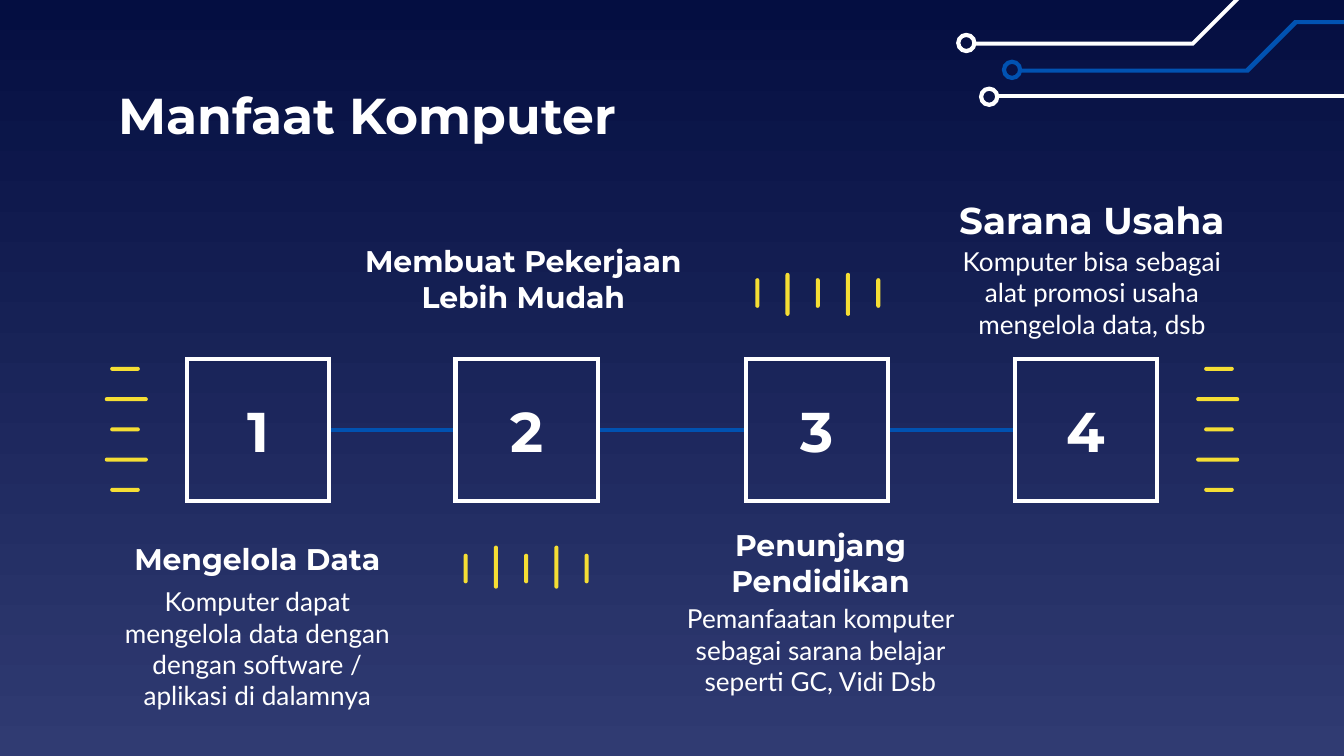
from lxml.etree import SubElement
from pptx import Presentation
from pptx.dml.color import RGBColor
from pptx.enum.shapes import MSO_CONNECTOR, MSO_SHAPE
from pptx.enum.text import MSO_ANCHOR, MSO_AUTO_SIZE, PP_ALIGN
from pptx.oxml.ns import qn
from pptx.util import Inches, Pt

COLORS = {
    "night": "040E41",
    "indigo": "303B72",
    "white": "FFFFFF",
    "blue": "0152B1",
    "yellow": "F5DE34",
}
HEADING_FONT, BODY_FONT = "Montserrat", "Lato"
SLIDE_WIDTH = 10
SLIDE_HEIGHT = SLIDE_WIDTH * 9 / 16
STEP_SIZE, STEP_TOP = 1.06, 2.67
TICK_COUNT, TICK_SPAN, TICK_WIDTH = 5, 0.9, 0.03

STEPS = [("1", 1.39), ("2", 3.39), ("3", 5.55), ("4", 7.55)]
HEADINGS = [
    ("Mengelola Data", (0.82, 3.92, 2.19, 0.47), 16),
    ("Membuat Pekerjaan Lebih Mudah", (2.58, 1.84, 2.63, 0.47), 16),
    ("Penunjang Pendidikan", (5.01, 3.95, 2.19, 0.47), 16),
    ("Sarana Usaha", (7.03, 1.4, 2.19, 0.47), 20),
]
DETAILS = [
    ("Komputer dapat mengelola data dengan dengan software / aplikasi di dalamnya",
     (0.82, 4.52, 2.19, 0.61)),
    ("Pemanfaatan komputer sebagai sarana belajar seperti GC, Vidi Dsb",
     (5.01, 4.53, 2.19, 0.61)),
    ("Komputer bisa sebagai alat promosi usaha mengelola data, dsb",
     (7.03, 1.87, 2.19, 0.61)),
]
TICKS = [
    ((0.78, 2.73), True, 0.15),
    ((8.9, 2.73), True, 0.17),
    ((3.45, 4.06), False, 0.17),
    ((5.62, 2.03), False, 0.15),
]
TRACES = [
    ("white", (0, 0.3), [(0.11, 0.35), (1.74, 0.35), (2.09, 0), (2.47, 0),
                         (2.47, 0.03), (2.1, 0.03), (1.75, 0.38), (0.11, 0.38)]),
    ("blue", (0.34, 0.5), [(0.45, 0.55), (2.14, 0.55), (2.5, 0.19), (3.12, 0.19),
                           (3.12, 0.22), (2.52, 0.22), (2.16, 0.58), (0.45, 0.58)]),
    ("white", (0.17, 0.7), [(0.28, 0.74), (2.93, 0.74), (2.93, 0.77), (0.28, 0.77)]),
]


def rgb(name):
    """Return a palette colour."""
    return RGBColor.from_string(COLORS[name])


def fill_solid(shape, color):
    """Give a shape a flat fill without outline or shadow."""
    shape.shadow.inherit = False
    shape.fill.solid()
    shape.fill.fore_color.rgb = rgb(color)
    shape.line.fill.background()


def outline(shape, color):
    """Give a shape a sharp-cornered outline without fill or shadow."""
    shape.shadow.inherit = False
    shape.fill.background()
    shape.line.color.rgb = rgb(color)
    shape.line.width = Pt(2.25)
    SubElement(shape.line._get_or_add_ln(), qn("a:miter"), lim="800000")


def write(shape, text, size, font=HEADING_FONT, bold=True, align=PP_ALIGN.CENTER):
    """Put white text, centred vertically, into a shape."""
    frame = shape.text_frame
    frame.text = text
    frame.word_wrap = True
    frame.auto_size = MSO_AUTO_SIZE.NONE
    frame.vertical_anchor = MSO_ANCHOR.MIDDLE
    frame.margin_left = frame.margin_right = Inches(0.1)
    frame.margin_top = frame.margin_bottom = Inches(0.1)
    paragraph = frame.paragraphs[0]
    paragraph.alignment = align
    run_font = paragraph.runs[0].font
    run_font.name, run_font.size, run_font.bold = font, Pt(size), bold
    run_font.color.rgb = rgb("white")


def set_background(slide):
    """Fill the background with a top-to-bottom gradient."""
    fill = slide.background.fill
    fill.gradient()
    fill.gradient_angle = 270
    for stop, color, position in zip(fill.gradient_stops, ("night", "indigo"), (0, 1)):
        stop.color.rgb = rgb(color)
        stop.position = position


def add_circuit(slide, left, top):
    """Draw the circuit traces, each starting at a ring."""
    for color, (ring_x, ring_y), points in TRACES:
        corners = [(Inches(left + x), Inches(top + y)) for x, y in points]
        builder = slide.shapes.build_freeform(*corners[0], scale=1.0)
        builder.add_line_segments(corners[1:], close=True)
        fill_solid(builder.convert_to_shape(), color)
        ring = slide.shapes.add_shape(
            MSO_SHAPE.OVAL, Inches(left + ring_x), Inches(top + ring_y),
            Inches(0.12), Inches(0.12))
        outline(ring, color)


def add_title(slide, box):
    """Place the slide title."""
    title = slide.shapes.title
    title.left, title.top, title.width, title.height = map(Inches, box)
    write(title, "Manfaat Komputer", 27, align=PP_ALIGN.LEFT)


def add_label(slide, text, box, size, font, bold):
    """Place a centred text box."""
    write(slide.shapes.add_textbox(*map(Inches, box)), text, size, font, bold)


def add_timeline(slide, top):
    """Draw the numbered squares and join neighbours behind them."""
    squares = []
    for number, left in STEPS:
        square = slide.shapes.add_shape(
            MSO_SHAPE.RECTANGLE, Inches(left), Inches(top),
            Inches(STEP_SIZE), Inches(STEP_SIZE))
        outline(square, "white")
        write(square, number, 30)
        squares.append(square)
    for before, after in zip(squares, squares[1:]):
        link = slide.shapes.add_connector(MSO_CONNECTOR.STRAIGHT, 0, 0, 0, 0)
        link.begin_connect(before, 3)
        link.end_connect(after, 1)
        link.line.color.rgb = rgb("blue")
        link.line.width = Pt(2.25)
        SubElement(link._element.spPr, qn("a:effectLst"))
        squares[0]._element.addprevious(link._element)


def add_ticks(slide, left, top, stacked, short_center):
    """Draw alternating short and long rounded ticks."""
    for index in range(TICK_COUNT):
        length, center = (0.32, 0.16) if index % 2 else (0.22, short_center)
        along = index * TICK_SPAN / (TICK_COUNT - 1)
        across = center - length / 2
        x, y, width, height = (
            (across, along, length, TICK_WIDTH) if stacked
            else (along, across, TICK_WIDTH, length))
        tick = slide.shapes.add_shape(
            MSO_SHAPE.ROUNDED_RECTANGLE, Inches(left + x), Inches(top + y),
            Inches(width), Inches(height))
        tick.adjustments[0] = 0.5
        fill_solid(tick, "yellow")


def main():
    """Build and save the slide."""
    presentation = Presentation()
    presentation.slide_width = Inches(SLIDE_WIDTH)
    presentation.slide_height = Inches(SLIDE_HEIGHT)
    slide = presentation.slides.add_slide(presentation.slide_layouts[5])
    set_background(slide)
    add_circuit(slide, 7.13, -0.04)
    add_title(slide, (0.78, 0.59, 4.23, 0.52))
    for text, box, size in HEADINGS:
        add_label(slide, text, box, size, HEADING_FONT, True)
    for text, box in DETAILS:
        add_label(slide, text, box, 14, BODY_FONT, False)
    add_timeline(slide, STEP_TOP)
    for (left, top), stacked, short_center in TICKS:
        add_ticks(slide, left, top, stacked, short_center)
    presentation.save("out.pptx")


if __name__ == "__main__":
    main()
